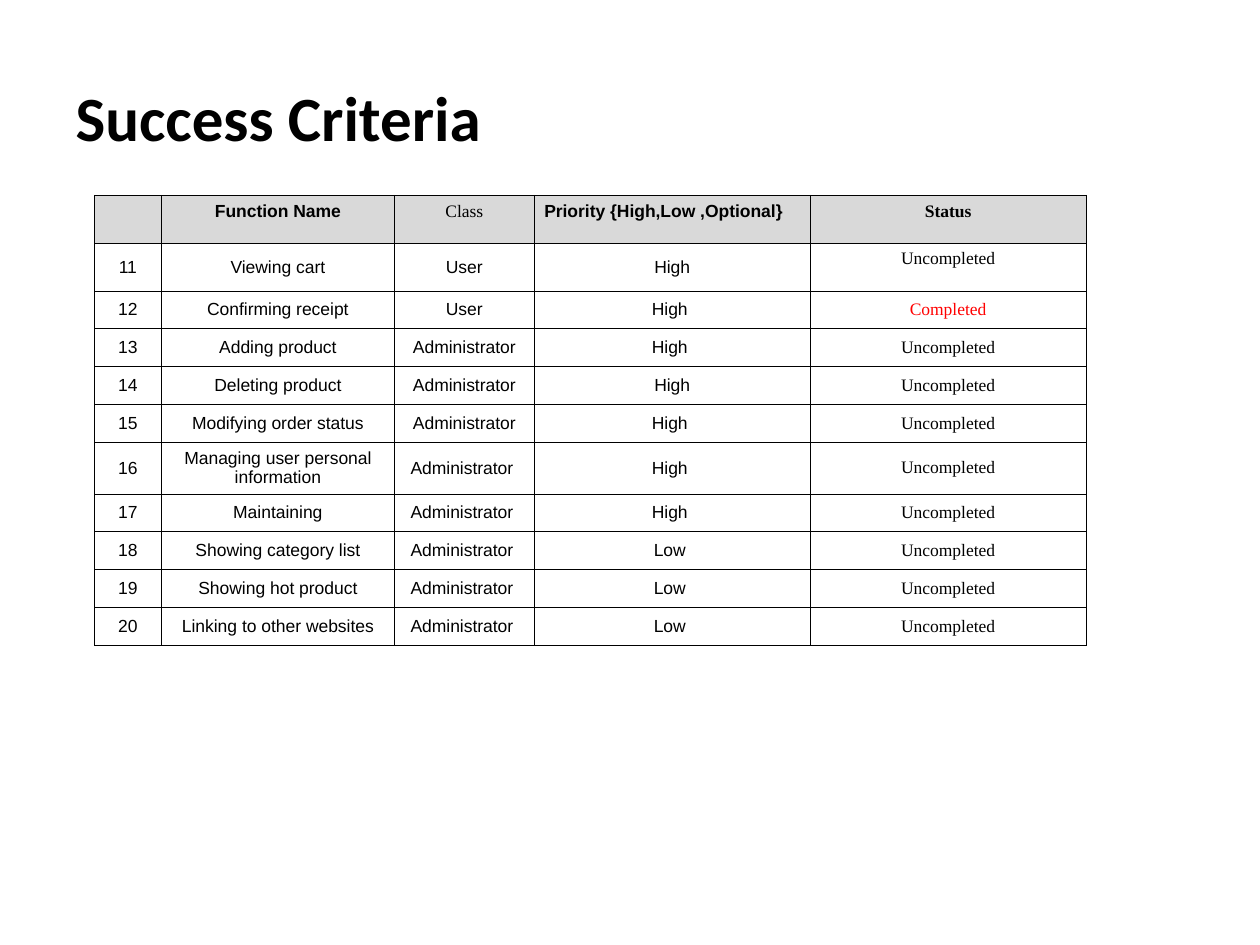
from pptx import Presentation
from pptx.dml.color import RGBColor
from pptx.enum.text import MSO_ANCHOR, PP_ALIGN
from pptx.oxml import parse_xml
from pptx.oxml.ns import nsdecls
from pptx.util import Inches, Pt

SANS, SERIF = "Arial", "Times New Roman"


def write(para, text, face, size, bold=False, color="000000"):
    run = para.add_run()
    run.text = text
    font = run.font
    font.name, font.size, font.bold = face, Pt(size), bold
    font.color.rgb = RGBColor.from_string(color)


def edge(cell):
    """Draw a thin black line on all four sides of a cell."""
    for side in ("lnL", "lnR", "lnT", "lnB"):
        cell._tc.get_or_add_tcPr().append(parse_xml(
            f'<a:{side} {nsdecls("a")} w="{Pt(0.45)}"><a:solidFill>'
            f'<a:srgbClr val="000000"/></a:solidFill></a:{side}>'))


deck = Presentation()
deck.slide_width, deck.slide_height = Inches(10), Inches(7.5)
slide = deck.slides.add_slide(deck.slide_layouts[5])

title = slide.shapes.title
title.left, title.top = Inches(0.5), Inches(0.3)
title.width, title.height = Inches(9), Inches(1.25)
frame = title.text_frame
frame.vertical_anchor = MSO_ANCHOR.MIDDLE
frame.paragraphs[0].alignment = PP_ALIGN.LEFT
write(frame.paragraphs[0], "Success Criteria", "Calibri", 36, True)

# Some entries carry a trailing space, which shifts their centring.
head = ["", "Function Name", "Class", "Priority {High,Low ,Optional}", "Status"]
tasks = [
    ("Viewing cart", "User", "High", "Uncompleted"),
    ("Confirming receipt", "User", "High ", "Completed"),
    ("Adding product", "Administrator", "High ", "Uncompleted"),
    ("Deleting product", "Administrator", "High", "Uncompleted"),
    ("Modifying order status", "Administrator", "High ", "Uncompleted"),
    ("Managing user personal information", "Administrator ", "High ", "Uncompleted"),
    ("Maintaining", "Administrator ", "High ", "Uncompleted"),
    ("Showing category list", "Administrator ", "Low ", "Uncompleted"),
    ("Showing hot product", "Administrator ", "Low ", "Uncompleted"),
    ("Linking to other websites", "Administrator ", "Low ", "Uncompleted"),
]
rows = [head] + [(str(n), *task) for n, task in enumerate(tasks, 11)]
wide = [0.53, 1.85, 1.11, 2.19, 2.19]
high = [0.38] * 2 + [0.3] * 4 + [0.41] + [0.3] * 4

grid = slide.shapes.add_table(
    len(rows), len(wide), Inches(0.75), Inches(1.55),
    Inches(sum(wide)), Inches(sum(high))).table
for col, width in zip(grid.columns, wide):
    col.width = Inches(width)
for row, height in zip(grid.rows, high):
    row.height = Inches(height)

for r, row in enumerate(rows):
    for c, text in enumerate(row):
        cell = grid.cell(r, c)
        edge(cell)
        if r == 0:
            cell.fill.solid()
            cell.fill.fore_color.rgb = RGBColor.from_string("D9D9D9")
        else:
            cell.fill.background()
        cell.margin_left = cell.margin_right = Inches(0.08)
        cell.margin_top = cell.margin_bottom = Inches(0.05 if text else 0)
        if not text:
            continue
        top = r == 0 or (r == 1 and c == 4)
        cell.vertical_anchor = MSO_ANCHOR.TOP if top else MSO_ANCHOR.MIDDLE
        para = cell.text_frame.paragraphs[0]
        just = r == 0 and c == 3
        para.alignment = PP_ALIGN.JUSTIFY if just else PP_ALIGN.CENTER
        face = SERIF if c == 4 or text == "Class" else SANS
        color = "FF0000" if text == "Completed" else "000000"
        write(para, text, face, 10, r == 0 and text != "Class", color)

deck.save("out.pptx")
